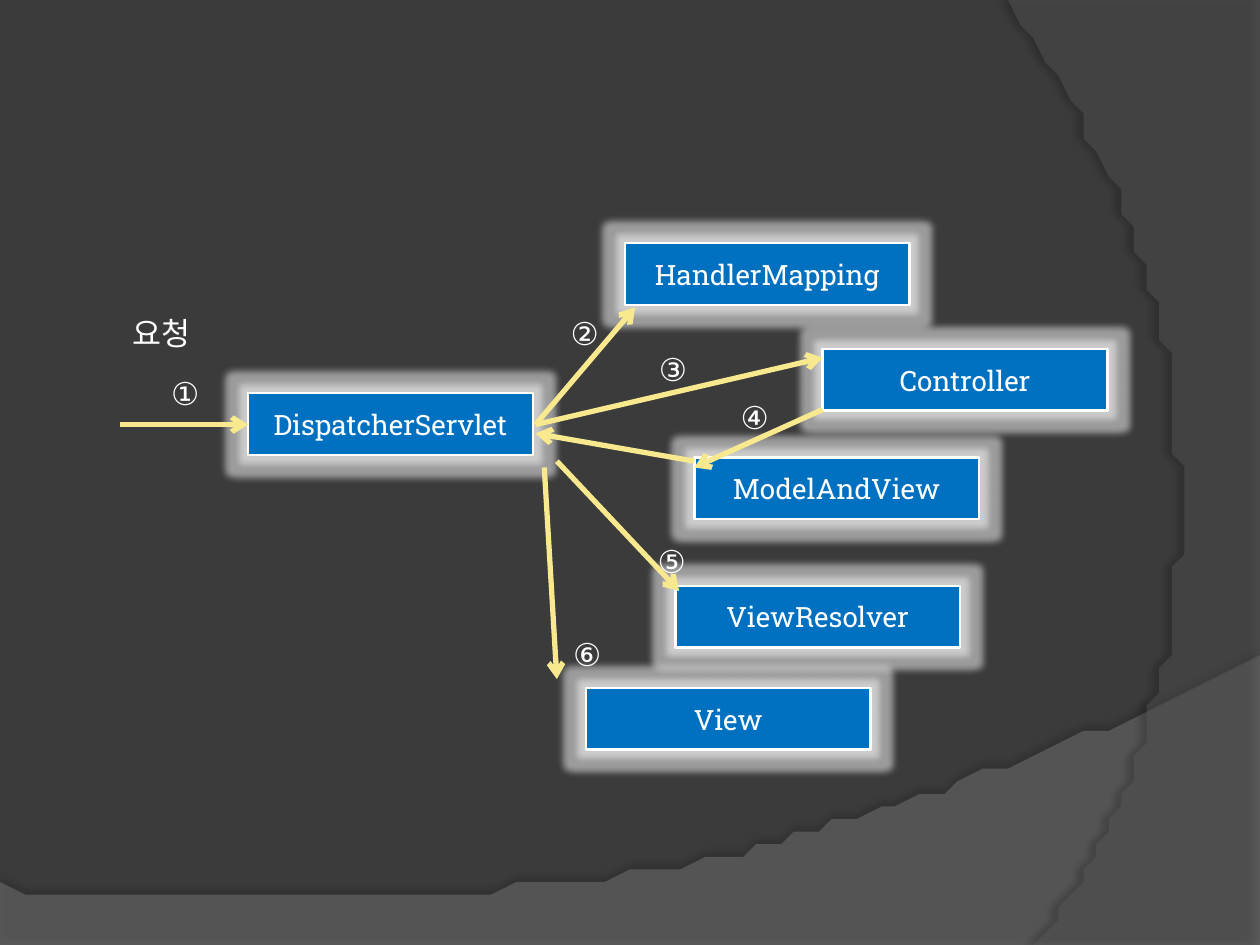
"""Request flow from DispatcherServlet to View, on a 100 by 75 grid."""
from lxml.etree import SubElement
from pptx import Presentation
from pptx.dml.color import RGBColor as Rgb
from pptx.enum.shapes import MSO_CONNECTOR as Link, MSO_SHAPE as Preset
from pptx.enum.text import MSO_ANCHOR as Anchor, MSO_AUTO_SIZE as Fit, PP_ALIGN as Align
from pptx.oxml.ns import qn
from pptx.util import Inches, Pt

COLORS = {
    "background": "3B3B3B", "wave": "7F7F7F", "arc": "5E5E5E", "shade": "000000",
    "box": "0070C0", "white": "FFFFFF", "arrow": "F9E98E",
}
CELL = Inches(0.1)
BOX_SIZE = (22.6, 4.9)
CURVE_STEPS = 60


def write(shape, text, font="Arial", size=18, align=Align.LEFT, anchor=Anchor.TOP, wrap=True, fit=Fit.NONE):
    frame = shape.text_frame
    frame.word_wrap = wrap
    frame.auto_size = fit
    frame.vertical_anchor = anchor
    frame.paragraphs[0].alignment = align
    run = frame.paragraphs[0].add_run()
    run.text = text
    run.font.name = font
    run.font.size = Pt(size)
    run.font.color.rgb = Rgb.from_string(COLORS["white"])
    east_asian = SubElement(run.font._element, qn("a:ea"))
    east_asian.set("typeface", font)


def add_effect(shape, kind, color, alpha, **settings):
    shape.shadow.inherit = False
    effects = shape._element.spPr.find(qn("a:effectLst"))
    effect = SubElement(effects, qn(kind), {key: str(value) for key, value in settings.items()})
    tint = SubElement(effect, qn("a:srgbClr"), val=COLORS[color])
    SubElement(tint, qn("a:alpha"), val=str(alpha * 1000))


deck = Presentation()
deck.slide_width, deck.slide_height = 100 * CELL, 75 * CELL
slide = deck.slides.add_slide(deck.slide_layouts[6])
slide.background.fill.solid()
slide.background.fill.fore_color.rgb = Rgb.from_string(COLORS["background"])

backdrops = [
    ("wave", 45, [(0, 70.5), (0, 75.1), (100, 75.1)],
     [(100, 52), (55.9, 72.9), (39.1, 71.9), (0, 70.5)], 35, 3.5, 270),
    ("arc", 40, [(100, 0.2), (100, 75)],
     [(82.1, 75), (93.5, 61.9), (101.8, 30), (80, 0)], 45, 4, 180),
]
for color, opacity, corners, curve, shade, distance, direction in backdrops:
    points = list(corners)
    for step in range(CURVE_STEPS + 1):
        t = step / CURVE_STEPS
        weights = ((1 - t) ** 3, 3 * t * (1 - t) ** 2, 3 * t * t * (1 - t), t ** 3)
        points.append(tuple(sum(w * p[axis] for w, p in zip(weights, curve)) for axis in (0, 1)))
    outline = slide.shapes.build_freeform(*points[0], scale=CELL)
    outline.add_line_segments(points[1:], close=True)
    backdrop = outline.convert_to_shape()
    backdrop.fill.solid()
    backdrop.fill.fore_color.rgb = Rgb.from_string(COLORS[color])
    tint = backdrop._element.spPr.find(qn("a:solidFill"))[0]
    SubElement(tint, qn("a:alpha"), val=str(opacity * 1000))
    backdrop.line.fill.background()
    add_effect(backdrop, "a:outerShdw", "shade", shade, blurRad=Pt(4), dist=Pt(distance),
               dir=direction * 60000, algn="ctr", rotWithShape=0)

components = [
    ("DispatcherServlet", 19.7, 31.2), ("HandlerMapping", 49.6, 19.3),
    ("ModelAndView", 55.1, 36.3), ("ViewResolver", 53.6, 46.5),
    ("View", 46.5, 54.6), ("Controller", 65.3, 27.7),
]
for name, column, row in components:
    place = [int(v * CELL) for v in (column, row, *BOX_SIZE)]
    component = slide.shapes.add_shape(Preset.RECTANGLE, *place)
    component.fill.solid()
    component.fill.fore_color.rgb = Rgb.from_string(COLORS["box"])
    component.line.color.rgb = Rgb.from_string(COLORS["white"])
    component.line.width = Pt(1.5)
    add_effect(component, "a:glow", "white", 50, rad=Pt(8))
    write(component, name, font="Roboto Slab", size=16, align=Align.CENTER, anchor=Anchor.MIDDLE)

calls = [
    (9.5, 33.7, 19.7, 33.7), (42.5, 33.7, 50.4, 24.4), (42.5, 33.7, 65.3, 28.4),
    (65.3, 32.5, 55.1, 37.1), (55.1, 36.6, 42.5, 34.4),
    (44.2, 36.6, 53.9, 46.9), (43.2, 37.1, 44.2, 53.9),
]
for ends in calls:
    call = slide.shapes.add_connector(Link.STRAIGHT, *[int(v * CELL) for v in ends])
    call.line.color.rgb = Rgb.from_string(COLORS["arrow"])
    call.line.width = Pt(3)
    SubElement(call.line._get_or_add_ln(), qn("a:tailEnd"), type="arrow")
    SubElement(call._element.spPr, qn("a:effectLst"))

labels = [
    ("요청", 9.5, 24.4, 9.4), ("①", 12.6, 29.2, 4.5), ("②", 44.3, 24.4, 4.5),
    ("③", 51.3, 27.3, 4.5), ("④", 57.8, 31.1, 4.5), ("⑤", 51.2, 42.5, 4.5),
    ("⑥", 44.5, 49.9, 4.5),
]
for text, column, row, width in labels:
    label = slide.shapes.add_textbox(*[int(v * CELL) for v in (column, row, width, 4)])
    write(label, text, wrap=text == "요청", fit=Fit.SHAPE_TO_FIT_TEXT)

deck.save("out.pptx")
